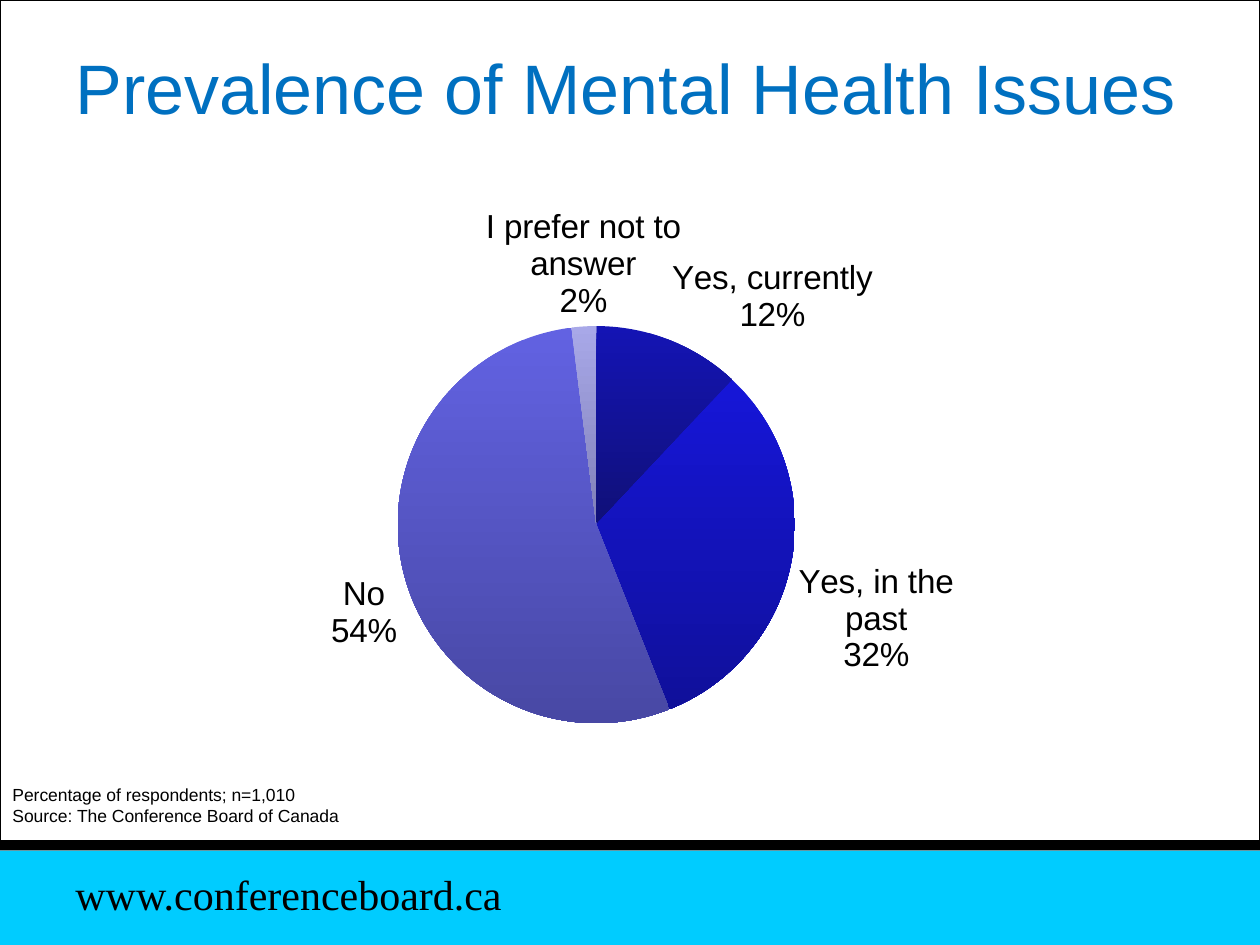
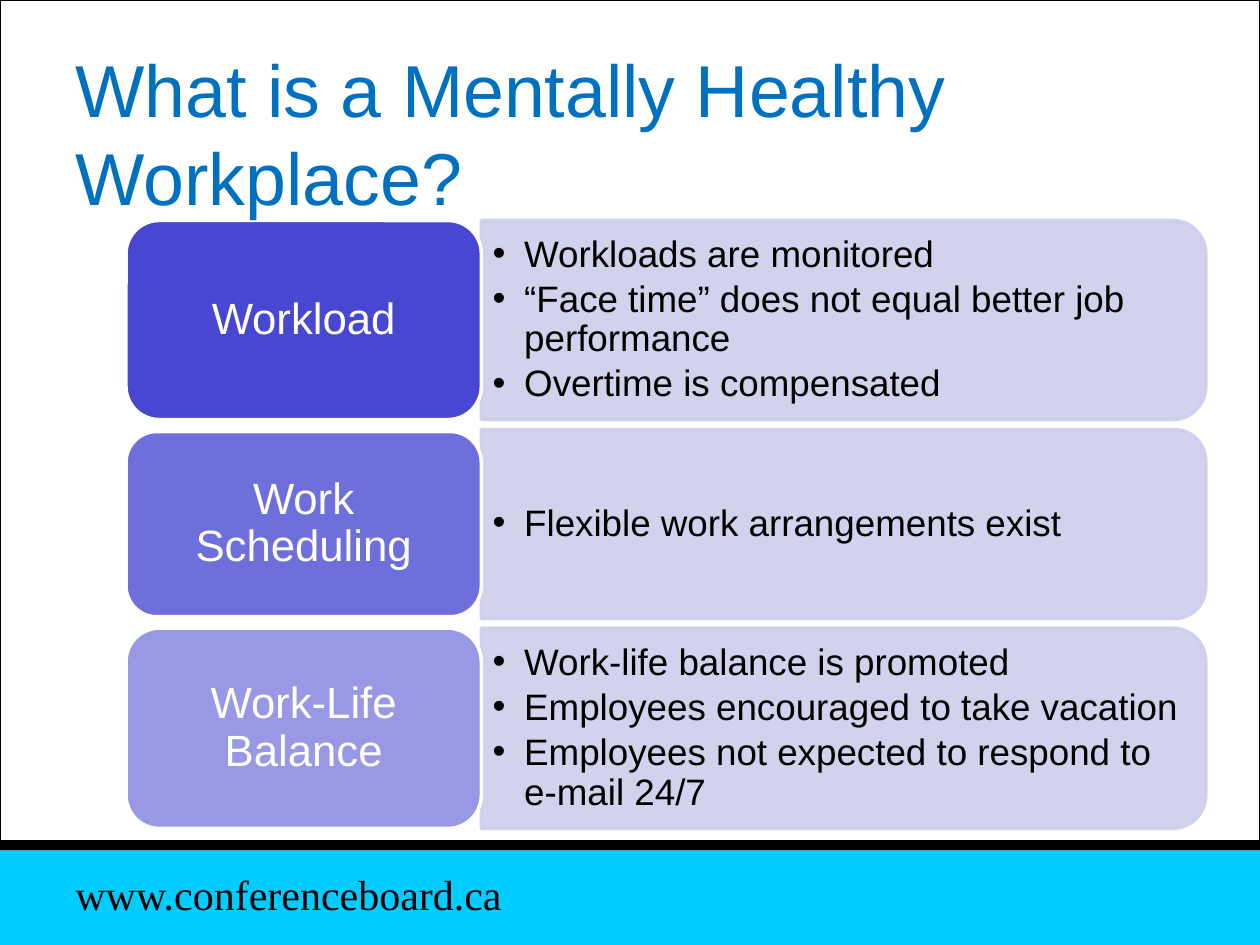
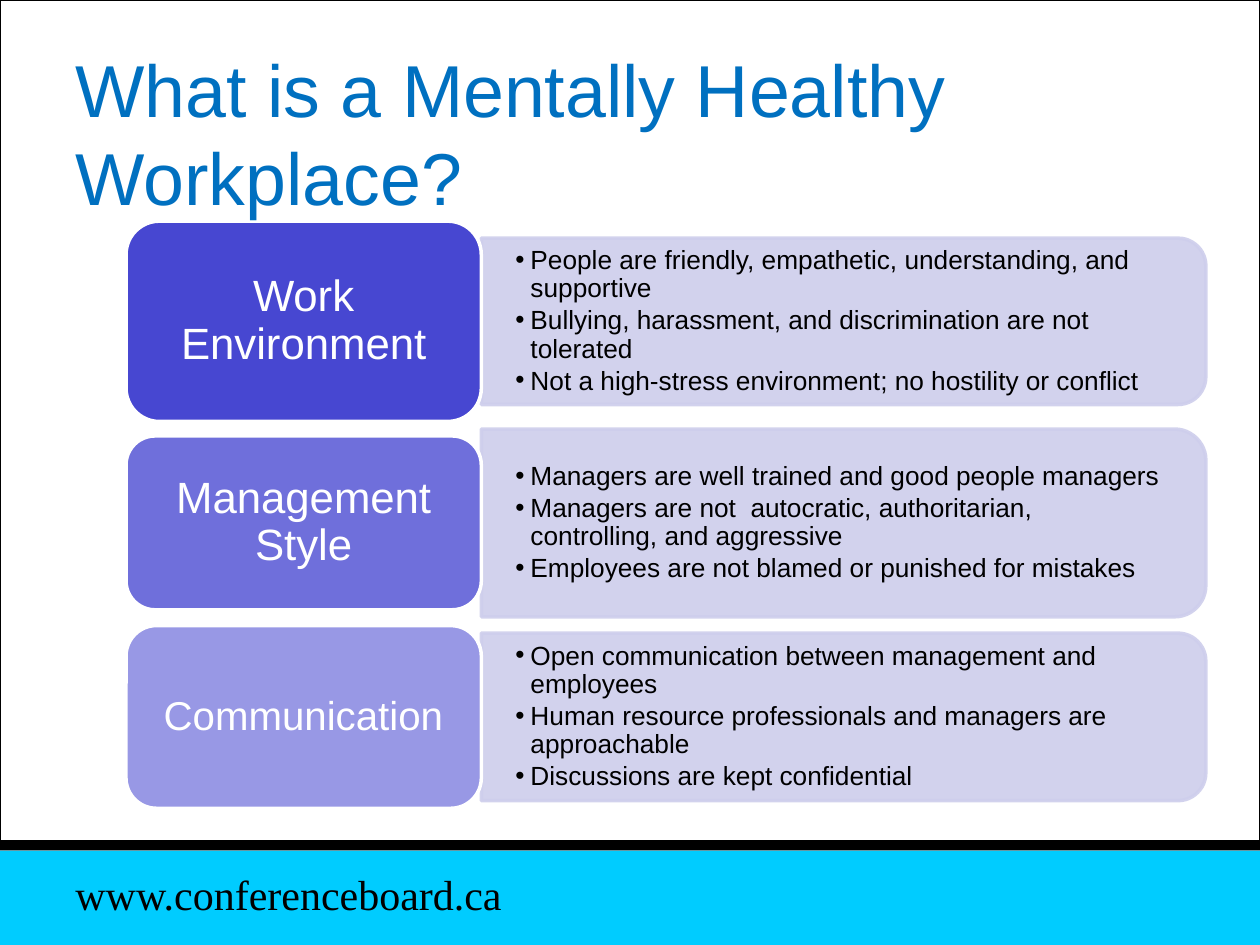
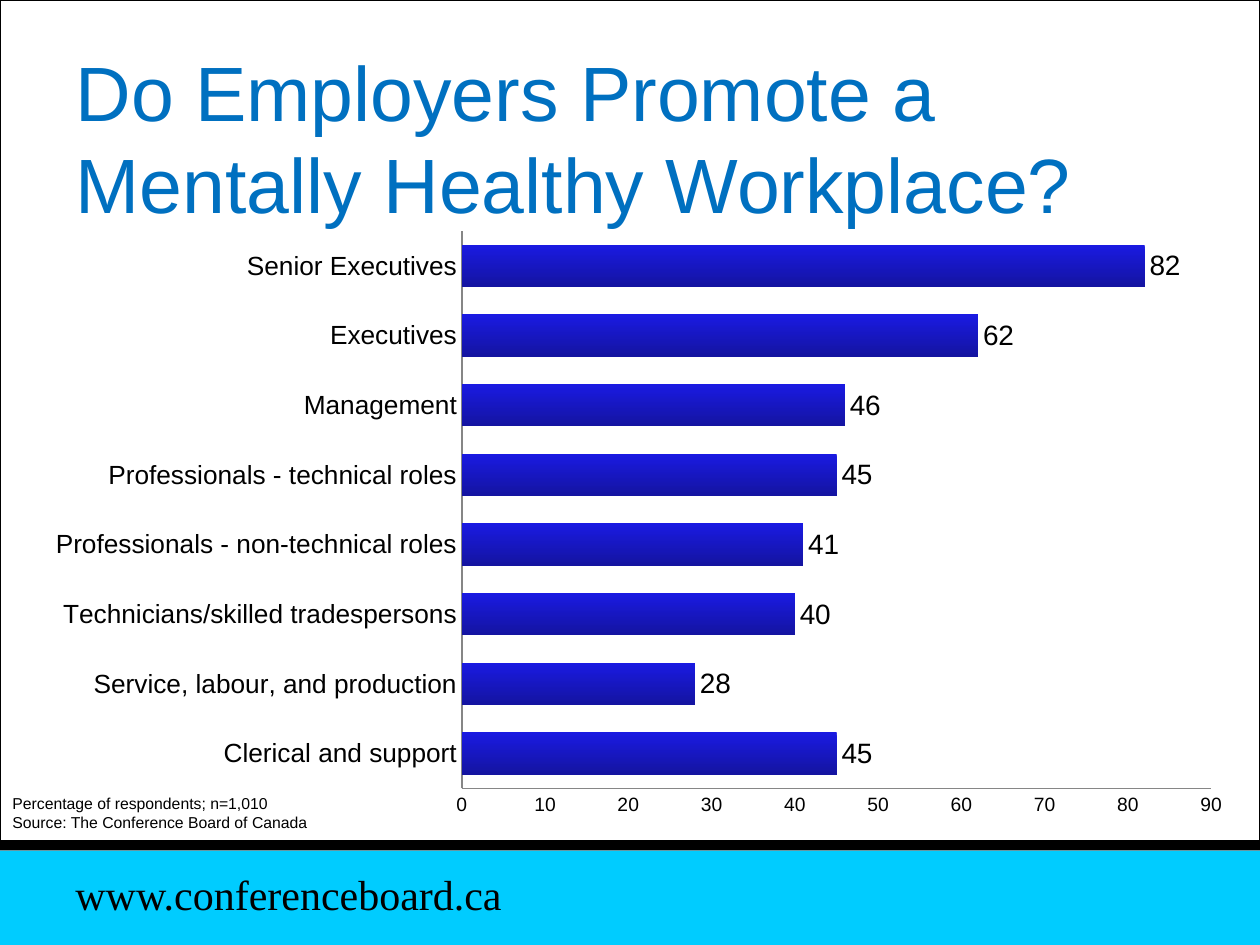
from lxml import etree
from pptx import Presentation
from pptx.chart.data import CategoryChartData
from pptx.dml.color import RGBColor
from pptx.enum import chart as charts, shapes, text
from pptx.oxml.ns import qn
from pptx.util import Inches, Pt

BLACK, WHITE = "000000", "FFFFFF"
PAGE, BAND, TITLE = "F8F8F8", "00CCFF", "0070C0"
LABEL, PANEL, AXIS = "3333CC", "CECEEC", "868686"
SANS, SERIF = "Arial", "Times New Roman"


def paint(fill, top, bottom=None):
    """Fill with one colour, or with a gradient running down to a second one."""
    if bottom is None:
        fill.solid()
        fill.fore_color.rgb = RGBColor.from_string(top)
        return
    fill.gradient()
    fill.gradient_angle = 270
    for stop, color in zip(fill.gradient_stops, (top, bottom)):
        stop.color.rgb = RGBColor.from_string(color)


def add_text(slide, box, lines, size, color=BLACK, font=SANS, insets=(0.1, 0.05),
             spacing=1.0, after=0, indent=0, middle=False, centred=False):
    """Add a text box with one paragraph per line; an indent makes them bullets."""
    shape = slide.shapes.add_textbox(*map(Inches, box))
    frame = shape.text_frame
    frame.word_wrap = True
    frame.margin_left = frame.margin_right = Inches(insets[0])
    frame.margin_top = frame.margin_bottom = Inches(insets[1])
    if middle:
        frame.vertical_anchor = text.MSO_ANCHOR.MIDDLE
    for number, line in enumerate(lines):
        paragraph = frame.add_paragraph() if number else frame.paragraphs[0]
        paragraph.line_spacing = spacing
        paragraph.space_after = Pt(after)
        if centred:
            paragraph.alignment = text.PP_ALIGN.CENTER
        if indent:
            paragraph.level = 1
            properties = paragraph._p.get_or_add_pPr()
            properties.set("marL", str(Inches(indent)))
            properties.set("indent", str(-Inches(indent)))
            etree.SubElement(properties, qn("a:buFont")).set("typeface", font)
            etree.SubElement(properties, qn("a:buChar")).set("char", "•")
        run = paragraph.add_run()
        run.text = line
        run.font.size = Pt(size)
        run.font.name = font
        paint(run.font.fill, color)
    return shape


presentation = Presentation()
presentation.slide_width, presentation.slide_height = Inches(10), Inches(7.5)
layout = presentation.slide_layouts[5]
paint(layout.background.fill, PAGE)

# Titles: wording, size, width, height
titles = [
    ("Prevalence of Mental Health Issues", 40, 9, 1.25),
    ("What is a Mentally Healthy Workplace?", 42, 9.33, 1.53),
    ("What is a Mentally Healthy Workplace?", 42, 9.33, 1.53),
    ("Do Employers Promote a Mentally Healthy Workplace?", 44, 9, 1.53),
]
slides = []
for wording, size, width, height in titles:
    slide = presentation.slides.add_slide(layout)
    slides.append(slide)
    title = slide.shapes.title
    title.left, title.top = Inches(0.5), Inches(0.3)
    title.width, title.height = Inches(width), Inches(height)
    frame = title.text_frame
    frame.word_wrap = True
    frame.auto_size = text.MSO_AUTO_SIZE.NONE
    frame.vertical_anchor = text.MSO_ANCHOR.TOP
    paragraph = frame.paragraphs[0]
    paragraph.alignment = text.PP_ALIGN.LEFT
    run = paragraph.add_run()
    run.text = wording
    run.font.size = Pt(size)
    run.font.name = SANS
    paint(run.font.fill, TITLE)
pie_slide, bar_slide = slides[0], slides[3]

# Page frame and footer bands, moved to the layout that all slides share
shared = []
for top, height, color in ((0, 6.67, WHITE), (6.75, 0.75, BAND), (6.67, 0.08, BLACK)):
    band = pie_slide.shapes.add_shape(
        shapes.MSO_SHAPE.RECTANGLE, 0, Inches(top), Inches(10), Inches(height))
    band.shadow.inherit = False
    paint(band.fill, color)
    if color == WHITE:
        paint(band.line.fill, BLACK)
        band.line.width = Pt(0.75)
    else:
        band.line.fill.background()
    shared.append(band)
shared.append(add_text(pie_slide, (0.5, 6.92, 4.08, 0.42), ["www.conferenceboard.ca"],
                       24, font=SERIF, spacing=0.8))
for position, shape in enumerate(shared, start=2):
    layout.shapes.element.insert(position, shape.element)

# Topic rows: label, label size, centre, label height, panel height, bullets
topics = [
    (slides[1], 21, 0.25, (0.09, 0.04), [
        ("Workload", 25, 2.54, 1.58, 1.58, [
            "Workloads are monitored",
            "“Face time” does not equal better job performance",
            "Overtime is compensated"]),
        ("Work Scheduling", 25, 4.16, 1.47, 1.5, [
            "Flexible work arrangements exist"]),
        ("Work-Life Balance", 25, 5.78, 1.59, 1.59, [
            "Work-life balance is promoted",
            "Employees encouraged to take vacation",
            "Employees not expected to respond to e-mail 24/7"]),
    ]),
    (slides[2], 15, 0.12, (0.27, 0.14), [
        ("Work Environment", 25, 2.55, 1.59, 1.32, [
            "People are friendly, empathetic, understanding, and supportive",
            "Bullying, harassment, and discrimination are not tolerated",
            "Not a high-stress environment; no hostility or conflict"]),
        ("Management Style", 25, 4.15, 1.38, 1.49, [
            "Managers are well trained and good people managers",
            "Managers are not  autocratic, authoritarian, controlling, and aggressive",
            "Employees are not blamed or punished for mistakes"]),
        ("Communication", 23, 5.69, 1.45, 1.33, [
            "Open communication between management and employees",
            "Human resource professionals and managers are approachable",
            "Discussions are kept confidential"]),
    ]),
]
label_left, label_width, panel_width = 1, 2.82, 5.75
panel_left = label_left + label_width
for slide, size, indent, insets, rows in topics:
    for (label, label_size, centre, label_height, panel_height, bullets), opacity in zip(
            rows, (90, 70, 50)):
        # The panel is an upright shape turned so that its round corners face right
        panel_box = (panel_left + (panel_width - panel_height) / 2,
                     centre - panel_width / 2, panel_height, panel_width)
        label_box = (label_left, centre - label_height / 2, label_width, label_height)
        pieces = [
            (shapes.MSO_SHAPE.ROUND_2_SAME_RECTANGLE, panel_box, 90, PANEL, 90, PANEL),
            (shapes.MSO_SHAPE.ROUNDED_RECTANGLE, label_box, 0, LABEL, opacity, WHITE),
        ]
        for preset, box, rotation, color, alpha, outline in pieces:
            shape = slide.shapes.add_shape(preset, *map(Inches, box))
            shape.rotation = rotation
            shape.shadow.inherit = False
            paint(shape.fill, color)
            paint(shape.line.fill, outline)
            shape.line.width = Pt(2)
            for element in shape.element.spPr.iter(qn("a:srgbClr")):
                if element.get("val") == color:
                    etree.SubElement(element, qn("a:alpha")).set("val", str(alpha * 1000))
        text_height = 0.9 * panel_height
        add_text(slide, (panel_left, centre - text_height / 2, 5.68, text_height),
                 bullets, size, insets=insets, spacing=0.9, after=round(0.15 * size),
                 indent=indent, middle=True)
        text_height = 0.9 * label_height
        add_text(slide, (label_left + 0.08, centre - text_height / 2,
                         label_width - 0.16, text_height),
                 [label], label_size, WHITE, spacing=0.9, middle=True, centred=True)

# Charts: slide, type, box, plot area as shares of the chart, categories and values
chart_specs = [
    (pie_slide, charts.XL_CHART_TYPE.PIE, (1.33, 1.58, 8.67, 5.28),
     (0.167, 0.191, 0.451, 0.597), 19,
     {"Yes, currently": 12, "Yes, in the past": 32, "No": 54,
      "I prefer not to answer": 2}),
    (bar_slide, charts.XL_CHART_TYPE.BAR_CLUSTERED, (0, 1.25, 9.83, 5.62),
     (0.373, 0.104, 0.605, 0.787), 16,
     {"Clerical and support": 45, "Service, labour, and production": 28,
      "Technicians/skilled tradespersons": 40, "Professionals - non-technical roles": 41,
      "Professionals - technical roles": 45, "Management": 46, "Executives": 62,
      "Senior Executives": 82}),
]
made_charts = []
for slide, kind, box, plot_area, label_size, values in chart_specs:
    data = CategoryChartData(number_format="0")
    data.categories = list(values)
    data.add_series("Series 1", list(values.values()))
    chart = slide.shapes.add_chart(kind, *map(Inches, box), data).chart
    made_charts.append(chart)
    chart.has_title = chart.has_legend = False
    chart.font.size = Pt(18)
    chart.font.name = SERIF
    paint(chart.font.fill, BLACK)
    labels = chart.plots[0].series[0].data_labels
    labels.font.size = Pt(label_size)
    labels.font.name = SANS
    paint(labels.font.fill, BLACK)
    labels.position = charts.XL_LABEL_POSITION.OUTSIDE_END

    area = chart.element.find(".//" + qn("c:plotArea"))
    for old in area.findall(qn("c:layout")):
        area.remove(old)
    area_layout = etree.Element(qn("c:layout"))
    area.insert(0, area_layout)
    manual = etree.SubElement(area_layout, qn("c:manualLayout"))
    settings = [("layoutTarget", "inner"), ("xMode", "edge"), ("yMode", "edge")]
    for tag, value in settings + list(zip("xywh", plot_area)):
        etree.SubElement(manual, qn("c:" + tag)).set("val", str(value))
pie, bar = made_charts

pie.plots[0].vary_by_categories = True
answers = pie.plots[0].series[0]
gradients = [("1414B4", "101078"), ("1616D8", "10109A"),
             ("6262E2", "4848A4"), ("A8A8E8", "8080B8")]
for number, gradient in enumerate(gradients):
    paint(answers.points[number].format.fill, *gradient)
labels = answers.data_labels
labels.show_value = False
labels.show_category_name = labels.show_percentage = True
labels.number_format, labels.number_format_is_linked = "0%", False
separator = etree.Element(qn("c:separator"))
separator.text = "\n"
labels._element.find(qn("c:showBubbleSize")).addnext(separator)

plot = bar.plots[0]
plot.gap_width = 64
plot.vary_by_categories = False
roles = plot.series[0]
roles.invert_if_negative = False
paint(roles.format.fill, "1A1AE2", "1414A0")
roles.data_labels.show_value = True
roles.data_labels.number_format = "0"
roles.data_labels.number_format_is_linked = False
for axis, size in ((bar.category_axis, 15), (bar.value_axis, 11)):
    axis.has_major_gridlines = False
    axis.major_tick_mark = axis.minor_tick_mark = charts.XL_TICK_MARK.NONE
    axis.tick_labels.font.size = Pt(size)
    axis.tick_labels.font.name = SANS
    paint(axis.tick_labels.font.fill, BLACK)
    paint(axis.format.line.fill, AXIS)
bar.value_axis.minimum_scale, bar.value_axis.maximum_scale = 0, 90
bar.value_axis.major_unit = 10
bar.value_axis.tick_labels.number_format = "0"
bar.value_axis.tick_labels.number_format_is_linked = False

for slide, box, size in ((pie_slide, (0, 6.17, 3.25, 0.44), 10),
                         (bar_slide, (0, 6.25, 2.58, 0.4), 9)):
    add_text(slide, box, ["Percentage of respondents; n=1,010",
                          "Source: The Conference Board of Canada"], size)

# Titles lie in front of everything else
for slide in slides:
    slide.shapes.element.append(slide.shapes.title.element)

presentation.save("out.pptx")
